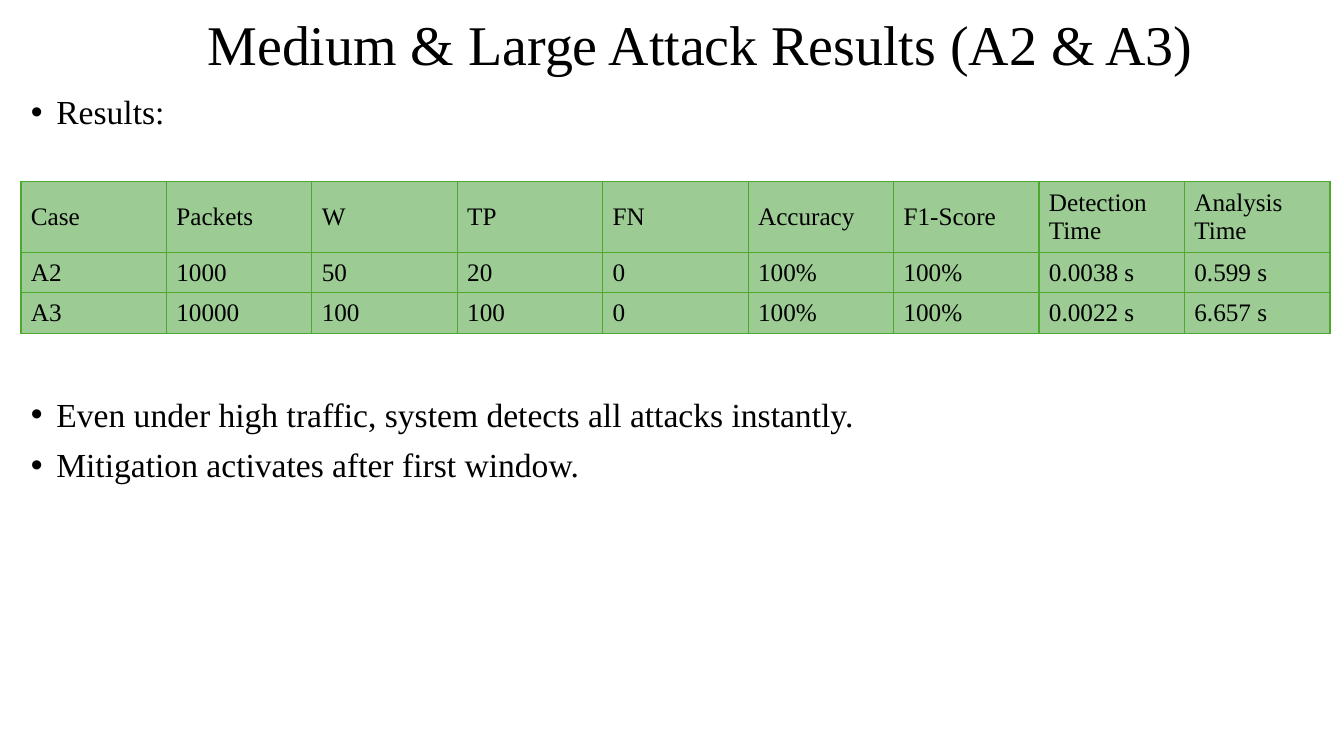
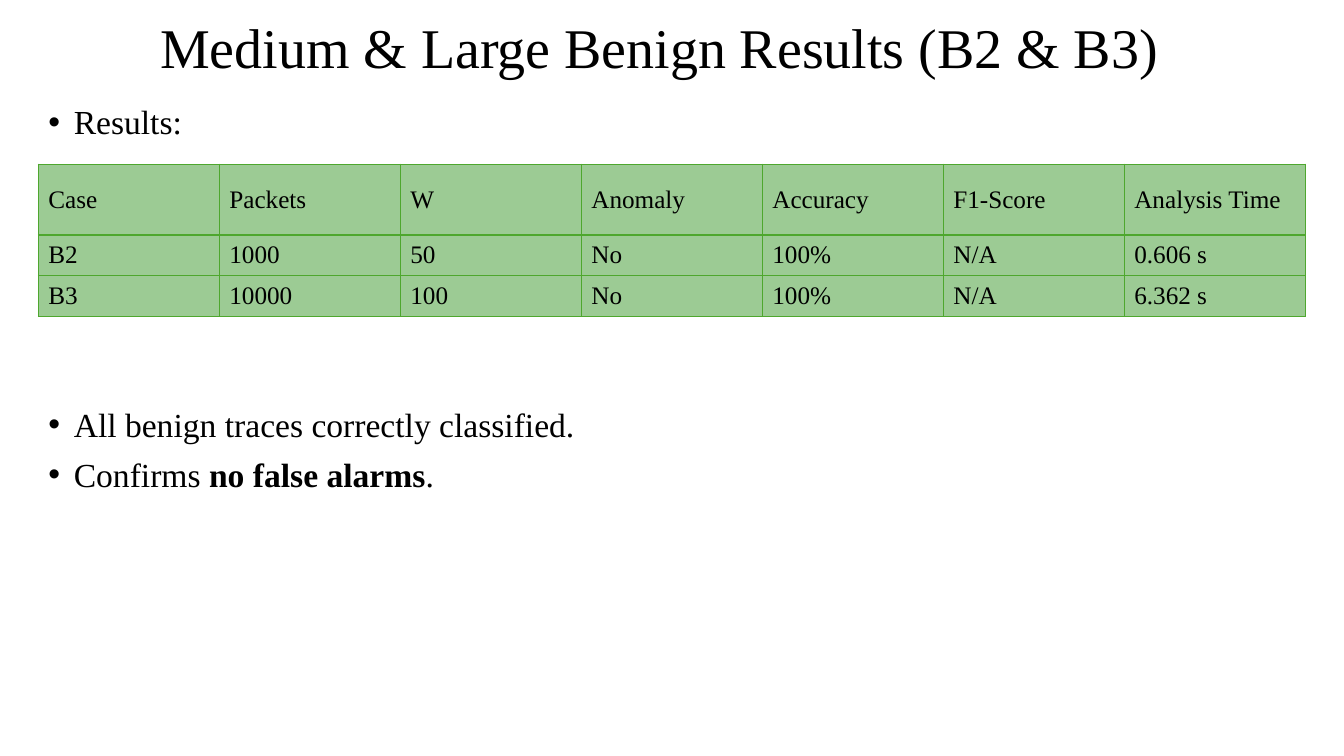
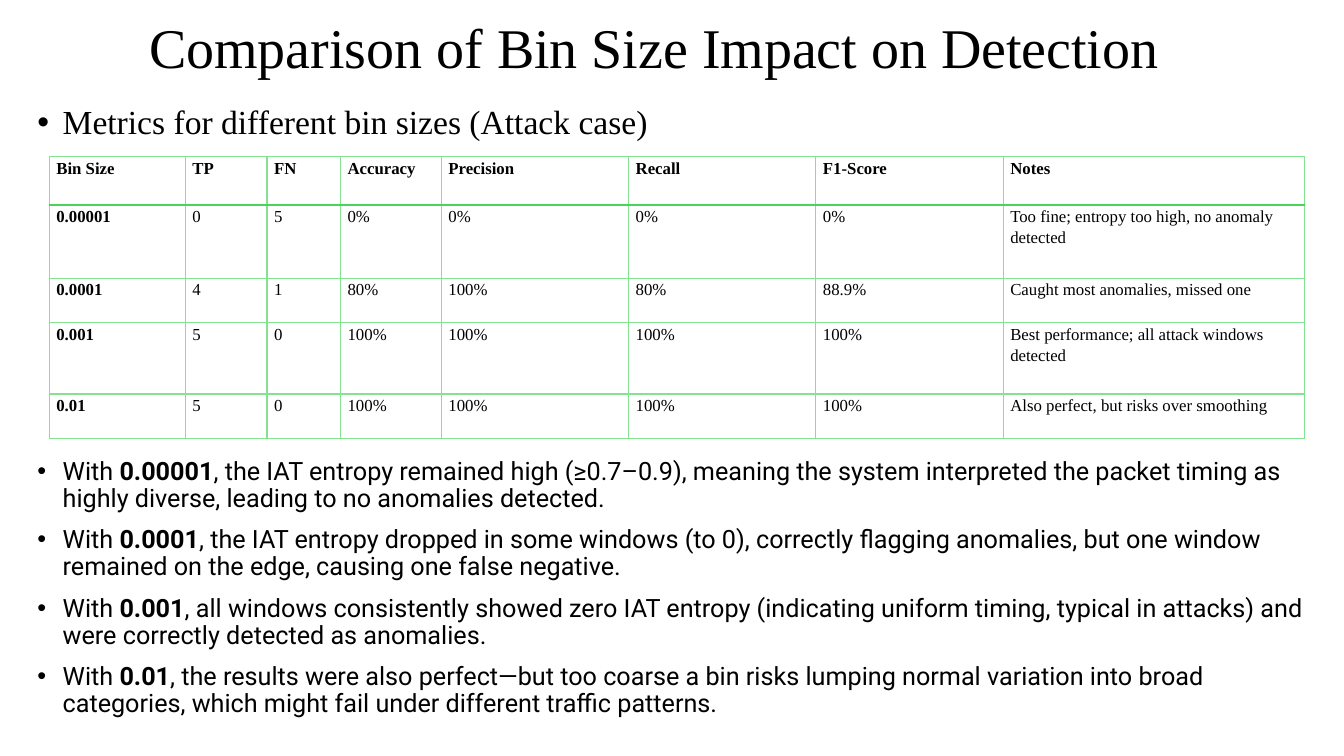
import pptx
import pptx.util
import pptx.dml.color
import pptx.enum.text
import pptx.oxml.ns
from lxml import etree

Cm, Pt = pptx.util.Cm, pptx.util.Pt
ANCHOR = pptx.enum.text.MSO_ANCHOR

INK = {"text": "000000", "fill": "9CCB94", "edge": "4EA72E",
       "pale": "84E290", "rule": "47D459"}
SERIF, SANS = "Times New Roman", "Roboto"
GAP = 10    # points before each bullet
STEP = 36   # points of one bullet line with its gap

# Looks of the two kinds of table
GREEN = dict(size=18, fill="fill", edge="edge", head=("edge", 1), bold=False,
             pad=(0.25, 0.13), anchor=ANCHOR.MIDDLE, line=1, after=0)
PLAIN = dict(size=12, fill=None, edge="pale", head=("rule", 1.5), bold=True,
             pad=(0.18, 0), anchor=ANCHOR.TOP, line=1.15, after=8)

# Boxes are left, top, width, height in cm; ** marks bold; skip counts lines left for the table
SLIDES = [
    dict(title="Medium & Large Attack Results (A2 & A3)",
         head=(1.17, 0.08, 31.78, 2.21), indent=3.81,
         body=(0.53, 2.29, 32.99, 16.41), lead="Results:", skip=5,
         notes=["Even under high traffic, system detects all attacks instantly.",
                "Mitigation activates after first window."],
         font=(SERIF, 24), look=GREEN, spot=(0.53, 4.57),
         cols=[32.99 / 9] * 9, rows=[1.65, 0.95, 0.95],
         cells=[["Case", "Packets", "W", "TP", "FN", "Accuracy", "F1-Score",
                 "Detection Time", "Analysis Time"],
                ["A2", "1000", "50", "20", "0", "100%", "100%", "0.0038 s", "0.599 s"],
                ["A3", "10000", "100", "100", "0", "100%", "100%", "0.0022 s", "6.657 s"]]),
    dict(title="Medium & Large Benign Results (B2 & B3)",
         head=(0.97, 0, 31.93, 2.54), indent=2.82,
         body=(0.97, 2.54, 31.93, 16.03), lead="Results:", skip=5,
         notes=["All benign traces correctly classified.",
                "Confirms **no false alarms**."],
         font=(SERIF, 24), look=GREEN, spot=(0.97, 4.14),
         cols=[31.93 / 7] * 7, rows=[1.78, 1.02, 1.02],
         cells=[["Case", "Packets", "W", "Anomaly", "Accuracy", "F1-Score", "Analysis Time"],
                ["B2", "1000", "50", "No", "100%", "N/A", "0.606 s"],
                ["B3", "10000", "100", "No", "100%", "N/A", "6.362 s"]]),
    dict(title="Comparison of Bin Size Impact on Detection",
         head=(0.69, 0, 32.51, 2.54), indent=2.82,
         body=(0.69, 2.54, 32.77, 16.18),
         lead="Metrics for different bin sizes (Attack case)", skip=6,
         notes=["With **0.00001**, the IAT entropy remained high (≥0.7–0.9), meaning the system "
                "interpreted the packet timing as highly diverse, leading to no anomalies detected.",
                "With **0.0001**, the IAT entropy dropped in some windows (to 0), correctly flagging "
                "anomalies, but one window remained on the edge, causing one false negative.",
                "With **0.001**, all windows consistently showed zero IAT entropy (indicating uniform "
                "timing, typical in attacks) and were correctly detected as anomalies.",
                "With **0.01**, the results were also perfect—but too coarse a bin risks lumping normal "
                "variation into broad categories, which might fail under different traffic patterns."],
         font=(SANS, 18), look=PLAIN, spot=(1.24, 3.94),
         cols=[3.43, 2.06, 1.85, 2.54, 4.72, 4.72, 4.72, 7.59],
         rows=[1.22, 1.85, 1.12, 1.8, 1.12],
         cells=[["Bin Size", "TP", "FN", "Accuracy", "Precision", "Recall", "F1-Score", "Notes"],
                ["0.00001", "0", "5", "0%", "0%", "0%", "0%",
                 "Too fine; entropy too high, no anomaly detected"],
                ["0.0001", "4", "1", "80%", "100%", "80%", "88.9%",
                 "Caught most anomalies, missed one"],
                ["0.001", "5", "0", "100%", "100%", "100%", "100%",
                 "Best performance; all attack windows detected"],
                ["0.01", "5", "0", "100%", "100%", "100%", "100%",
                 "Also perfect, but risks over smoothing"]]),
]


def color(name):
    return pptx.dml.color.RGBColor.from_string(INK[name])


def sub(node, tag, **attrs):
    return etree.SubElement(node, pptx.oxml.ns.qn(tag), attrs)


def write(para, text, face, size, bold=False):
    """Add the runs of text; parts between ** switch the weight."""
    for part, words in enumerate(text.split("**")):
        run = para.add_run()
        run.text = words
        font = run.font
        font.name, font.size = face, Pt(size)
        font.bold = bold or part % 2 == 1
        font.color.rgb = color("text")


def box(slide, place, anchor):
    frame = slide.shapes.add_textbox(*map(Cm, place)).text_frame
    frame.word_wrap = True
    frame.vertical_anchor = anchor
    return frame


def indent(para, left, first=0):
    props = para._p.get_or_add_pPr()
    props.set("marL", str(Cm(left)))
    props.set("indent", str(Cm(first)))
    return props


def bullet(para, text, face, size, before):
    para.line_spacing = 0.9
    para.space_before = Pt(before)
    props = indent(para, 0.64, -0.64)
    sub(props, "a:buFont", typeface="Arial")
    sub(props, "a:buChar", char="•")
    write(para, text, face, size)


def border(cell, sides):
    props = cell._tc.get_or_add_tcPr()
    for side, (name, width) in sides.items():
        line = sub(props, "a:ln" + side, w=str(Pt(width)))
        sub(sub(line, "a:solidFill"), "a:srgbClr", val=INK[name])


def grid(slide, data):
    look, cells = data["look"], data["cells"]
    cols, rows = data["cols"], data["rows"]
    place = (*data["spot"], sum(cols), sum(rows))
    table = slide.shapes.add_table(len(rows), len(cols), *map(Cm, place)).table
    table.first_row = table.horz_banding = False
    for col, width in zip(table.columns, cols):
        col.width = Cm(width)
    for row, height in zip(table.rows, rows):
        row.height = Cm(height)
    thin = (look["edge"], 1)
    for r, line in enumerate(cells):
        for c, text in enumerate(line):
            cell = table.cell(r, c)
            cell.margin_left = cell.margin_right = Cm(look["pad"][0])
            cell.margin_top = cell.margin_bottom = Cm(look["pad"][1])
            cell.vertical_anchor = look["anchor"]
            border(cell, {"L": thin, "R": thin,
                          "T": look["head"] if r == 1 else thin,
                          "B": look["head"] if r == 0 else thin})
            if look["fill"]:
                cell.fill.solid()
                cell.fill.fore_color.rgb = color(look["fill"])
            else:
                cell.fill.background()
            para = cell.text_frame.paragraphs[0]
            para.line_spacing = look["line"]
            para.space_after = Pt(look["after"])
            write(para, text, SERIF, look["size"], look["bold"] and 0 in (r, c))


def build(deck, data):
    slide = deck.slides.add_slide(deck.slide_layouts[6])
    title = box(slide, data["head"], ANCHOR.MIDDLE).paragraphs[0]
    title.line_spacing = 0.9
    indent(title, data["indent"])
    write(title, data["title"], SERIF, 40)

    body = box(slide, data["body"], ANCHOR.TOP)
    bullet(body.paragraphs[0], data["lead"], SERIF, 24, GAP)
    for n, note in enumerate(data["notes"]):
        before = GAP if n else GAP + STEP * data["skip"]
        bullet(body.add_paragraph(), note, *data["font"], before)
    grid(slide, data)


def main():
    deck = pptx.Presentation()
    deck.slide_width, deck.slide_height = Cm(33.87), Cm(19.05)
    for data in SLIDES:
        build(deck, data)
    deck.save("out.pptx")


if __name__ == "__main__":
    main()
